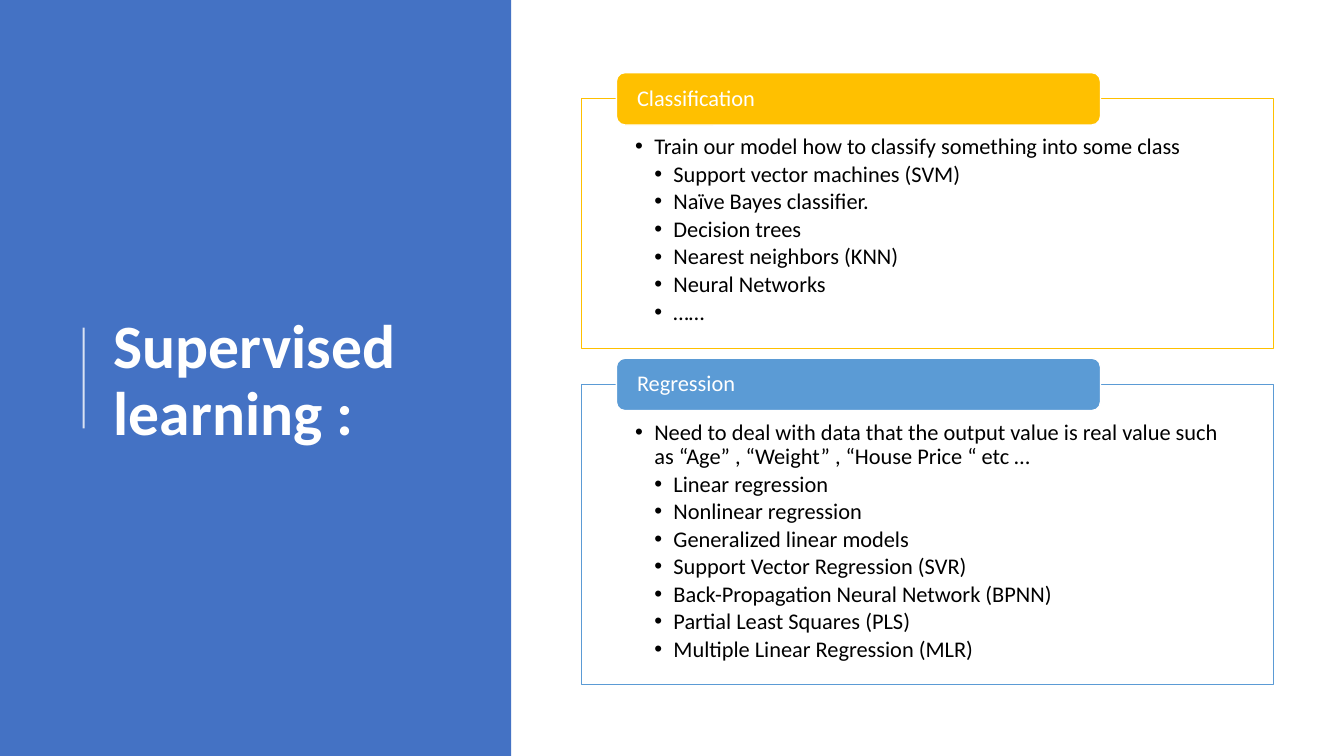
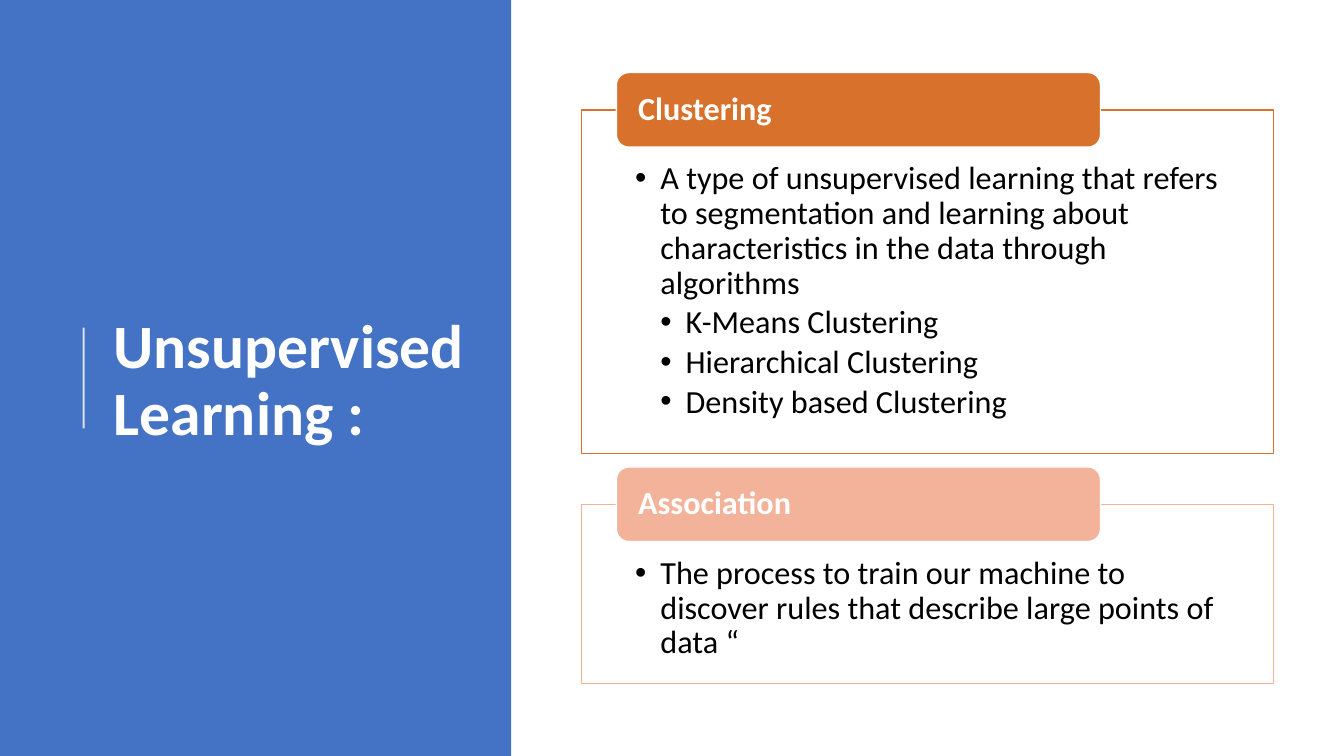
from dataclasses import dataclass

from lxml.etree import SubElement
from pptx import Presentation
from pptx.dml.color import RGBColor
from pptx.enum.shapes import MSO_CONNECTOR, MSO_SHAPE
from pptx.enum.text import MSO_ANCHOR, PP_ALIGN
from pptx.oxml.ns import qn
from pptx.util import Inches, Pt


@dataclass(frozen=True)
class Theme:
    font: str = "Calibri"
    band: str = "4472C4"
    white: str = "FFFFFF"
    black: str = "000000"
    gold: str = "FFC000"
    blue: str = "5B9BD5"
    orange: str = "D7712C"
    salmon: str = "F3B39B"
    title_size: int = 44
    line_spacing: float = 0.9


@dataclass(frozen=True)
class Box:
    left: float
    top: float
    width: float
    height: float

    def lengths(self):
        return [Inches(v) for v in (self.left, self.top, self.width, self.height)]


@dataclass(frozen=True)
class PanelStyle:
    size: int
    bold: bool
    tab_height: float
    indent: float


THEME = Theme()
PAGE = Box(0, 0, 13.33, 7.5)
BAND = Box(0, 0, 5.07, 7.5)
COLUMN = Box(5.77, 0.72, 6.86, 6.07)
COMPACT = PanelStyle(size=16, bold=False, tab_height=0.52, indent=0.19)
LARGE = PanelStyle(size=23, bold=True, tab_height=0.74, indent=0.25)

SLIDES = [
    ("Supervised learning :", COMPACT, [
        ("Classification", THEME.gold, 2.48,
         "Train our model how to classify something into some class",
         ["Support vector machines (SVM)", "Naïve Bayes classifier.", "Decision trees",
          "Nearest neighbors (KNN)", "Neural Networks", "……"]),
        ("Regression", THEME.blue, 2.98,
         "Need to deal with data that the output value is real value such as "
         "“Age” , “Weight” , “House Price “ etc …",
         ["Linear regression", "Nonlinear regression", "Generalized linear models",
          "Support Vector Regression (SVR)", "Back-Propagation Neural Network (BPNN)",
          "Partial Least Squares (PLS)", "Multiple Linear Regression (MLR)"]),
    ]),
    ("Unsupervised Learning :", LARGE, [
        ("Clustering", THEME.orange, 3.41,
         "A type of unsupervised learning that refers to segmentation and learning "
         "about characteristics in the data through algorithms",
         ["K-Means Clustering", "Hierarchical Clustering", "Density based Clustering"]),
        ("Association", THEME.salmon, 1.78,
         "The process to train our machine to discover rules that describe "
         "large points of data “", []),
    ]),
]


def set_opacity(fill_parent, percent):
    color = fill_parent.find(f"{qn('a:solidFill')}/{qn('a:srgbClr')}")
    SubElement(color, qn("a:alpha"), val=str(percent * 1000))


def add_block(page, preset, box, fill, line=None):
    shape = page.shapes.add_shape(preset, *box.lengths())
    shape.shadow.inherit = False
    shape.fill.solid()
    shape.fill.fore_color.rgb = RGBColor.from_string(fill)
    if line:
        shape.line.color.rgb = RGBColor.from_string(line)
        shape.line.width = Pt(1)
    else:
        shape.line.fill.background()
    return shape


def set_frame(frame, anchor, margins):
    frame.word_wrap = True
    frame.vertical_anchor = anchor
    (frame.margin_left, frame.margin_top,
     frame.margin_right, frame.margin_bottom) = [Inches(m) for m in margins]


def write(para, text, size, color, bold=False):
    para.alignment = PP_ALIGN.LEFT
    para.line_spacing = THEME.line_spacing
    span = para.add_run()
    span.text = text
    span.font.name = THEME.font
    span.font.size = Pt(size)
    span.font.bold = bold
    span.font.color.rgb = RGBColor.from_string(color)


def write_bullet(para, text, level, style):
    write(para, text, style.size, THEME.black)
    para.level = level
    para.space_after = Pt(style.size * 0.15)
    properties = para._p.get_or_add_pPr()
    properties.set("marL", str(Inches(style.indent * level)))
    properties.set("indent", str(Inches(-style.indent)))
    SubElement(properties, qn("a:buFont"), typeface="Arial")
    SubElement(properties, qn("a:buChar"), char="•")


def add_title_band(page, box, title):
    add_block(page, MSO_SHAPE.RECTANGLE, box, THEME.band)

    rule_left = Inches(box.left + 0.83)
    middle = box.top + box.height / 2
    rule = page.shapes.add_connector(MSO_CONNECTOR.STRAIGHT, rule_left, Inches(middle + 0.5),
                                     rule_left, Inches(middle - 0.5))
    rule.line.color.rgb = RGBColor.from_string(THEME.white)
    rule.line.width = Pt(1.5)
    set_opacity(rule.line._ln, 80)
    SubElement(rule._element.spPr, qn("a:effectLst"))

    title_box = Box(box.left + 1.03, box.top + 0.78, 3.69, 6.02)
    frame = page.shapes.add_textbox(*title_box.lengths()).text_frame
    set_frame(frame, MSO_ANCHOR.MIDDLE, (0.1, 0.05, 0.1, 0.05))
    write(frame.paragraphs[0], title, THEME.title_size, THEME.white, bold=True)


def add_panel(page, box, style, label, color, lead, items):
    tab = style.tab_height
    body_box = Box(box.left, box.top + tab / 2, box.width, box.height - tab / 2)
    body = add_block(page, MSO_SHAPE.RECTANGLE, body_box, THEME.white, color)
    set_opacity(body._element.spPr, 90)
    frame = body.text_frame
    set_frame(frame, MSO_ANCHOR.TOP, (0.53, tab * 0.7, 0.53, tab * 0.24))
    write_bullet(frame.paragraphs[0], lead, 1, style)
    for item in items:
        write_bullet(frame.add_paragraph(), item, 2, style)

    tab_box = Box(box.left + box.width * 0.05, box.top, box.width * 0.7, tab)
    header = add_block(page, MSO_SHAPE.ROUNDED_RECTANGLE, tab_box, color, THEME.white)
    set_frame(header.text_frame, MSO_ANCHOR.MIDDLE, (0.18, 0, 0.18, 0))
    write(header.text_frame.paragraphs[0], label, style.size, THEME.white, style.bold)


def add_panels(page, box, style, panels):
    top = box.top
    for label, color, body_height, lead, items in panels:
        height = style.tab_height / 2 + body_height
        add_panel(page, Box(box.left, top, box.width, height), style, label, color, lead, items)
        top += height + style.tab_height * 0.18


def main():
    deck = Presentation()
    deck.slide_width = Inches(PAGE.width)
    deck.slide_height = Inches(PAGE.height)
    for title, style, panels in SLIDES:
        page = deck.slides.add_slide(deck.slide_layouts[6])
        add_title_band(page, BAND, title)
        add_panels(page, COLUMN, style, panels)
    deck.save("out.pptx")


if __name__ == "__main__":
    main()
